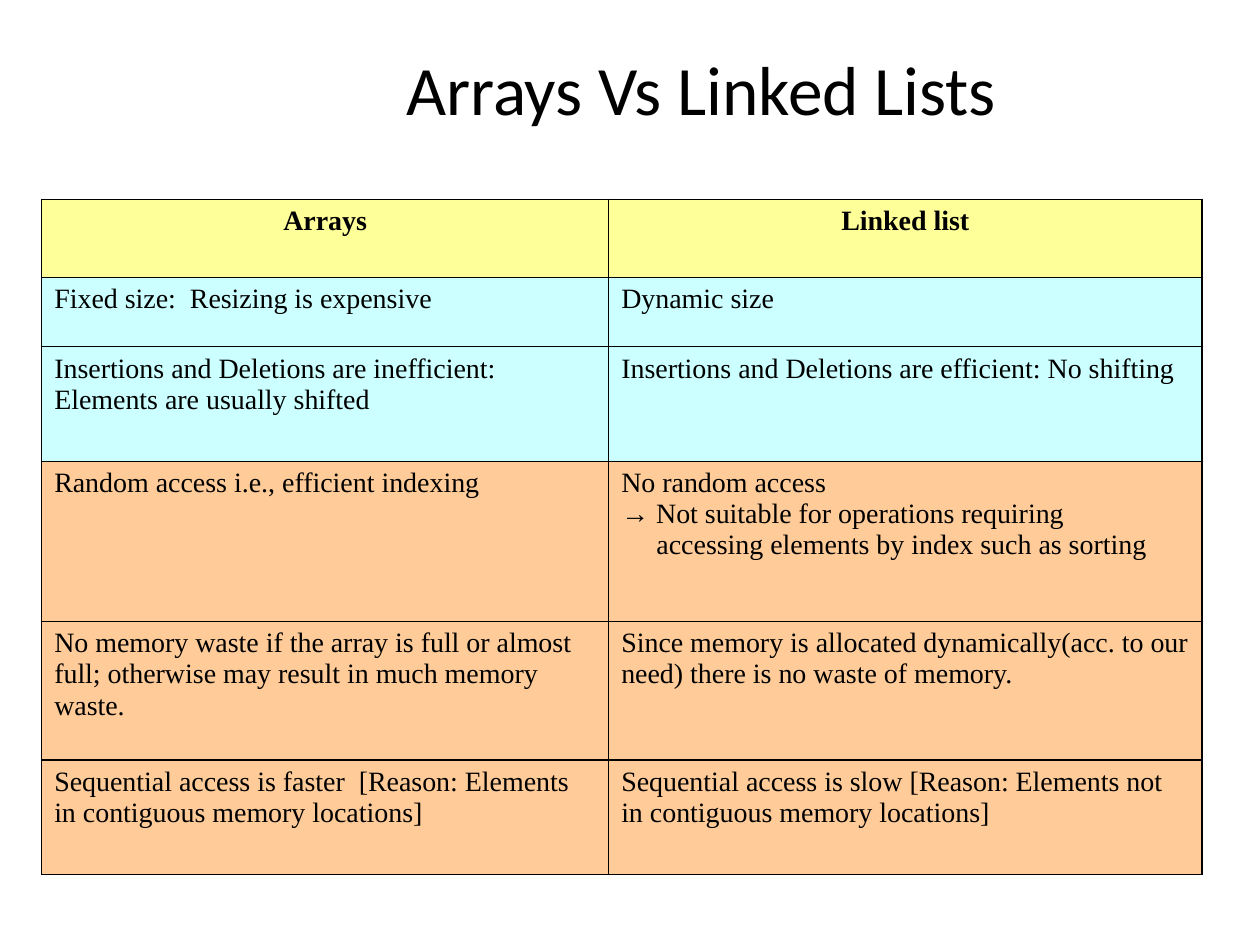
from lxml import etree
from pptx import Presentation
from pptx.dml.color import RGBColor
from pptx.enum.text import MSO_ANCHOR, PP_ALIGN
from pptx.oxml.ns import qn
from pptx.util import Cm, Pt

CENTER, LEFT = PP_ALIGN.CENTER, PP_ALIGN.LEFT
MIDDLE = MSO_ANCHOR.MIDDLE
BLACK = RGBColor(0, 0, 0)
YELLOW = RGBColor(0xFF, 0xFF, 0x99)
CYAN = RGBColor(0xCC, 0xFF, 0xFF)
ORANGE = RGBColor(0xFF, 0xCC, 0x99)

# Row height in cm, fill, and the paragraphs of each cell
ROWS = [
    (1.57, YELLOW, ["Arrays"], ["Linked list"]),
    (1.4, CYAN, ["Fixed size:  Resizing is expensive"], ["Dynamic size"]),
    (2.31, CYAN,
     ["Insertions and Deletions are inefficient: Elements are usually shifted"],
     ["Insertions and Deletions are efficient: No shifting"]),
    (3.23, ORANGE,
     ["Random access i.e., efficient indexing"],
     ["No random access",
      "\u2192 Not suitable for operations requiring",
      "accessing elements by index such as sorting"]),
    (2.79, ORANGE,
     ["No memory waste if the array is full or almost full; "
      "otherwise may result in much memory waste."],
     ["Since memory is allocated dynamically(acc. to our need) "
      "there is no waste of memory."]),
    (2.31, ORANGE,
     ["Sequential access is faster  [Reason: Elements in contiguous memory locations]"],
     ["Sequential access is slow [Reason: Elements not in contiguous memory locations]"]),
]
WIDTHS = [11.43, 11.96]


def add_run(para, text, font, size, bold=False):
    run = para.add_run()
    run.text = text
    run.font.name = font
    run.font.size = Pt(size)
    run.font.bold = bold
    run.font.color.rgb = BLACK


def add_edges(cell):
    props = cell._tc.get_or_add_tcPr()
    for side in ("lnL", "lnR", "lnT", "lnB"):
        line = etree.SubElement(props, qn("a:" + side), w=str(Pt(1)))
        fill = etree.SubElement(line, qn("a:solidFill"))
        etree.SubElement(fill, qn("a:srgbClr"), val=str(BLACK))


prs = Presentation()
prs.slide_width, prs.slide_height = Cm(25.4), Cm(19.05)
slide = prs.slides.add_slide(prs.slide_layouts[5])

# Title, pushed right by its left inset
title = slide.shapes.title
title.left, title.top = Cm(0.84), Cm(0.84)
title.width, title.height = Cm(22.86), Cm(1.85)
frame = title.text_frame
frame.margin_left = Cm(3.99)
frame.vertical_anchor = MIDDLE
frame.paragraphs[0].alignment = CENTER
add_run(frame.paragraphs[0], "Arrays Vs Linked Lists", "Calibri", 39.6)

# Comparison table
high = sum(row[0] for row in ROWS)
table = slide.shapes.add_table(len(ROWS), len(WIDTHS), Cm(0.84), Cm(4.02),
                               Cm(sum(WIDTHS)), Cm(high)).table
for col, width in zip(table.columns, WIDTHS):
    col.width = Cm(width)

for r, (height, color, *texts) in enumerate(ROWS):
    table.rows[r].height = Cm(height)
    head = r == 0
    for c, lines in enumerate(texts):
        cell = table.cell(r, c)
        add_edges(cell)
        cell.fill.solid()
        cell.fill.fore_color.rgb = color
        for i, text in enumerate(lines):
            frame = cell.text_frame
            para = frame.add_paragraph() if i else frame.paragraphs[0]
            para.alignment = CENTER if head else LEFT
            add_run(para, text, "Times New Roman", 16, head)

# Line up the last line with the text after the arrow
last = table.cell(3, 1).text_frame.paragraphs[-1]
last._p.get_or_add_pPr().set("marL", str(Cm(0.71)))

prs.save("out.pptx")
